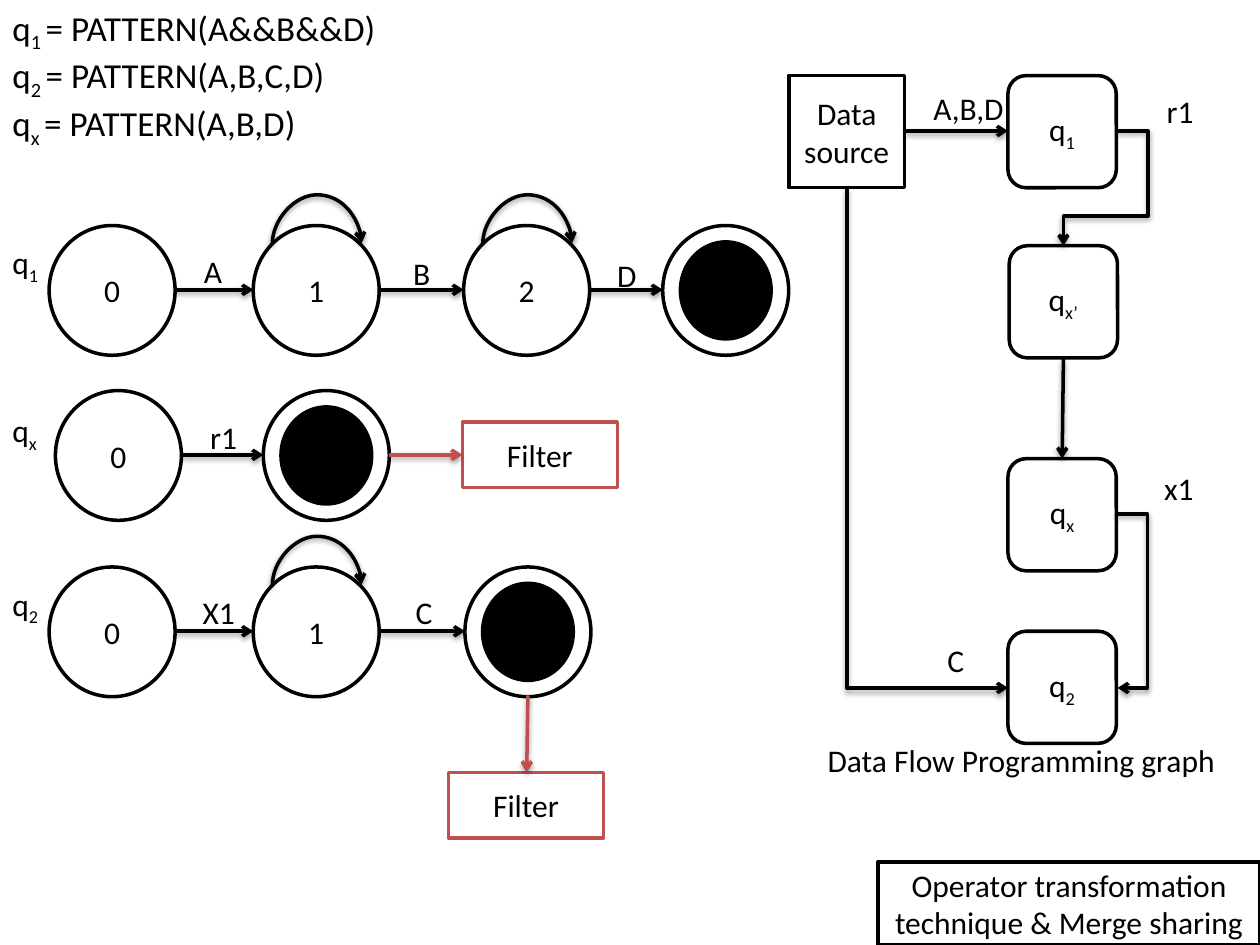
from dataclasses import dataclass

from lxml.etree import SubElement
from pptx import Presentation
from pptx.dml.color import RGBColor
from pptx.enum.shapes import MSO_CONNECTOR as Wire, MSO_SHAPE as Shape
from pptx.enum.text import MSO_ANCHOR as Anchor, MSO_AUTO_SIZE as Fit, PP_ALIGN as Align
from pptx.oxml.ns import qn
from pptx.util import Pt

PX = 9144  # 100 px to the inch


@dataclass(frozen=True)
class Theme:
    font: str = "Calibri"
    ink: RGBColor = RGBColor(0, 0, 0)
    paper: RGBColor = RGBColor(255, 255, 255)
    accent: RGBColor = RGBColor(0xC0, 0x50, 0x4D)
    body: int = 18
    formula: int = 20
    line: int = 2


THEME = Theme()
STATE_W, STATE_H = 100, 103
NODE_W, NODE_H = 86, 89


def emu(*lengths):
    return [int(length * PX) for length in lengths]


def write(frame, lines, size=THEME.body, align=Align.LEFT):
    """Fill a text frame; every second part between ~ marks is a subscript."""
    for index, line in enumerate(lines):
        para = frame.paragraphs[0] if index == 0 else frame.add_paragraph()
        para.alignment = align
        for order, part in enumerate(line.split("~")):
            span = para.add_run()
            span.text = part
            span.font.name, span.font.size = THEME.font, Pt(size)
            span.font.color.rgb = THEME.ink
            if order % 2:
                span.font._element.set("baseline", "-25000")


def label(page, box, *lines, size=THEME.body, wrap=False, align=Align.LEFT):
    frame = page.shapes.add_textbox(*emu(*box)).text_frame
    frame.word_wrap = wrap
    frame.auto_size = Fit.SHAPE_TO_FIT_TEXT
    write(frame, lines, size, align)


def outlined(page, kind, box, text="", color=THEME.ink, fill=THEME.paper):
    shape = page.shapes.add_shape(kind, *emu(*box))
    shape.shadow.inherit = False
    shape.fill.solid()
    shape.fill.fore_color.rgb = fill
    shape.line.color.rgb = color
    shape.line.width = Pt(THEME.line)
    if text:
        shape.text_frame.vertical_anchor = Anchor.MIDDLE
        write(shape.text_frame, [text], align=Align.CENTER)


def arrow(page, start, end, color=THEME.ink, kind=Wire.STRAIGHT):
    """Draw a connector with an open head and a soft shadow."""
    wire = page.shapes.add_connector(kind, *emu(*start, *end))
    wire.line.color.rgb = color
    wire.line.width = Pt(THEME.line)
    SubElement(wire.line._get_or_add_ln(), qn("a:tailEnd"), type="arrow")
    effects = SubElement(wire._element.spPr, qn("a:effectLst"))
    shadow = SubElement(effects, qn("a:outerShdw"), blurRad="40000", dist="20000",
                        dir="5400000", rotWithShape="0")
    tint = SubElement(shadow, qn("a:srgbClr"), val="000000")
    SubElement(tint, qn("a:alpha"), val="38000")
    return wire


def routed(page, start, end, preset, bends=(), turn=0, flips=""):
    """Draw a bent or curved arrow; its frame is turned about the middle."""
    width, height = abs(end[0] - start[0]), abs(end[1] - start[1])
    if turn % 180:
        width, height = height, width
    left = (start[0] + end[0] - width) / 2
    top = (start[1] + end[1] - height) / 2
    xs, ys = (left, left + width), (top, top + height)
    first, last = int("h" in flips), int("v" in flips)
    kind = Wire.CURVE if preset.startswith("curved") else Wire.ELBOW
    wire = arrow(page, (xs[first], ys[last]), (xs[1 - first], ys[1 - last]), kind=kind)
    if turn:
        wire._element.spPr.find(qn("a:xfrm")).set("rot", str(turn * 60000))
    shape = wire._element.spPr.find(qn("a:prstGeom"))
    shape.set("prst", preset)
    guides = shape.find(qn("a:avLst"))
    if guides is None:
        guides = SubElement(shape, qn("a:avLst"))
    for number, bend in enumerate(bends, 1):
        name = f"adj{number}" if len(bends) > 1 or preset[-1] == "3" else "adj"
        SubElement(guides, qn("a:gd"), name=name, fmla=f"val {round(bend * 100000)}")


def automaton(page, left, top, name, states, edges, loops=()):
    """One row of states; a state without a text is the accepting one."""
    middle = top + 51
    label(page, (left, top + name[1], 42, 41), name[0])
    # States
    for x, text in states:
        outlined(page, Shape.OVAL, (left + x, top, STATE_W, STATE_H), text)
        if not text:
            outlined(page, Shape.OVAL, (left + x + 14, top + 13, 72, 77), fill=THEME.ink)
    # Transitions between neighbours
    for (x, _), (following, _), (text, at, drop, width) in zip(states, states[1:], edges):
        arrow(page, (left + x + STATE_W, middle), (left + following, middle))
        label(page, (left + at, top + drop, width, 41), text)
    # Self loops
    for order in loops:
        x = left + states[order][0] + 15
        routed(page, (x, top + 15), (x + 71, top + 14), "curvedConnector3",
               bends=[40], turn=90, flips="hv")


def filter_step(page, left, top, start, end):
    outlined(page, Shape.RECTANGLE, (left, top, 123, 52), "Filter", THEME.accent)
    arrow(page, start, end, THEME.accent)


def data_flow(page, left, top):
    """Source, four operators and the streams between them."""
    node_x, right, centre = left + 174, left + 260, left + 218
    source_mid, node_mid = left + 46, top + 44
    # Source and operators
    outlined(page, Shape.RECTANGLE, (left, top, 92, NODE_H), "Data source")
    for shift, drop, text in [(0, 0, "q~1"), (1, 135, "q~x’"),
                              (0, 304, "q~x"), (0, 441, "q~2")]:
        outlined(page, Shape.ROUNDED_RECTANGLE,
                 (node_x + shift, top + drop, NODE_W, NODE_H), text)
    # Streams
    arrow(page, (left + 92, node_mid), (node_x, node_mid))
    arrow(page, (centre, top + 225), (centre - 1, top + 304))
    routed(page, (right, node_mid), (centre, top + 135), "bentConnector4",
           bends=[-0.6, 0.74], flips="h")
    routed(page, (right, top + 348), (right + 1, top + 486), "bentConnector3", bends=[25])
    routed(page, (source_mid, top + NODE_H), (node_x, top + 486), "bentConnector2",
           turn=270, flips="h")
    # Stream names
    for x, drop, width, text in [(105, 6, 76, "A,B,D"), (290, 8, 42, "r1"),
                                 (288, 307, 44, "x1"), (116, 444, 34, "C")]:
        label(page, (left + x, top + drop, width, 41), text)
    label(page, (left + 21, top + 523, 339, 41), "Data Flow Programming graph", wrap=True)


def main():
    deck = Presentation()
    deck.slide_width, deck.slide_height = emu(1000, 750)
    page = deck.slides.add_slide(deck.slide_layouts[6])

    # Query definitions
    label(page, (0, 0, 315, 114), "q~1 ~= PATTERN(A&&B&&D)", "q~2 ~= PATTERN(A,B,C,D)",
          "q~x ~= PATTERN(A,B,D)", size=THEME.formula)

    # Automata
    automaton(page, 0, 179, ("q~1", 9),
              [(39, "0"), (201, "1"), (368, "2"), (526, "")],
              [("A", 152, 16, 35), ("B", 318, 18, 34), ("D", 480, 19, 36)], loops=(1, 2))
    automaton(page, 0, 310, ("q~x", 11), [(44, "0"), (209, "")], [("r1", 157, 17, 42)])
    automaton(page, 0, 450, ("q~2", 9), [(39, "0"), (201, "1"), (369, "")],
              [("X1", 151, 16, 46), ("C", 320, 16, 34)], loops=(1,))
    filter_step(page, 367, 335, (309, 361), (367, 361))
    filter_step(page, 356, 613, (419, 552), (418, 613))

    # Data flow graph and its technique
    data_flow(page, 626, 60)
    outlined(page, Shape.RECTANGLE, (697, 684, 303, 66),
             "Operator transformation technique & Merge sharing")
    deck.save("out.pptx")


if __name__ == "__main__":
    main()
